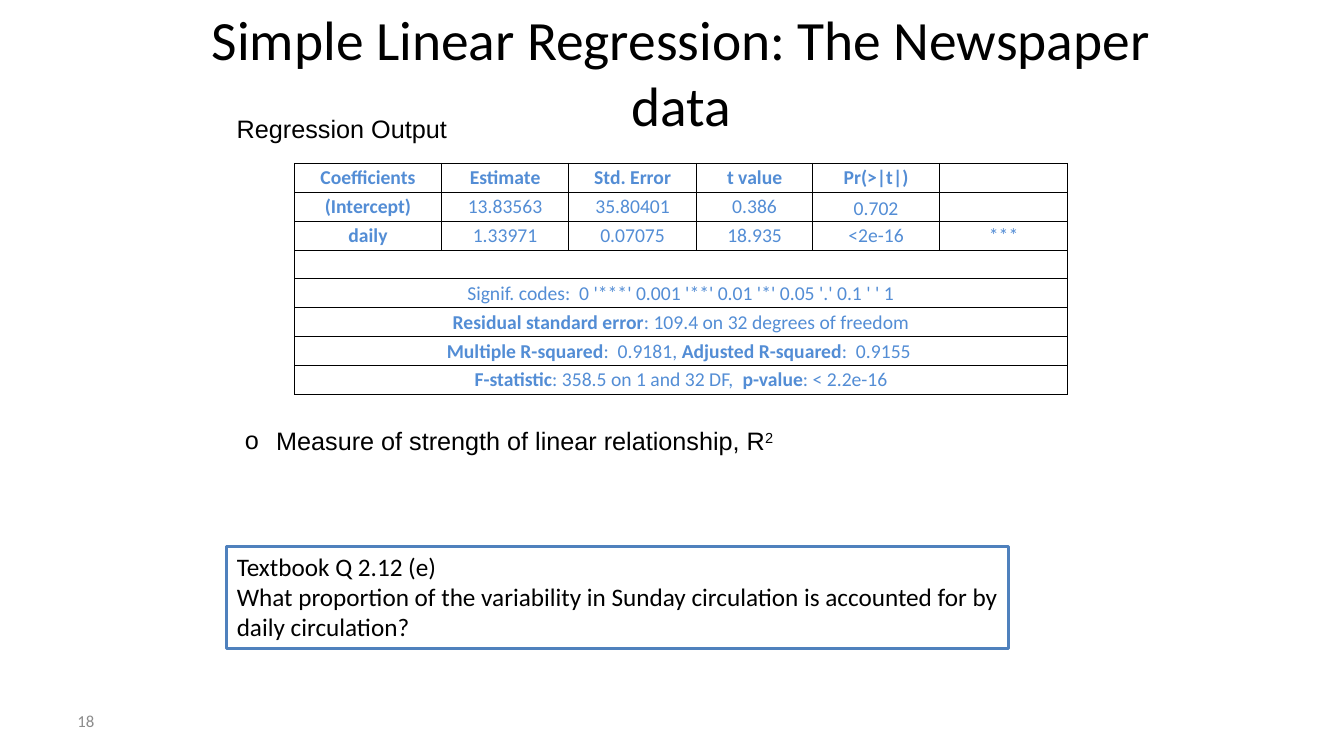
from lxml.etree import SubElement
from pptx import Presentation
from pptx.dml.color import RGBColor
from pptx.enum.shapes import MSO_SHAPE
from pptx.enum.text import MSO_ANCHOR as ANCHOR, MSO_AUTO_SIZE as AUTOSIZE, PP_ALIGN as ALIGN
from pptx.oxml.ns import qn
from pptx.util import Pt

PX = 9144  # 100 px to the inch
BLACK, BLUE = "000000", "538DD5"


def color(value):
    return RGBColor.from_string(value)


def add_span(para, text, size, face, ink=BLACK, bold=False):
    span = para.add_run()
    span.text = text
    span.font.size, span.font.name, span.font.bold = Pt(size), face, bold
    span.font.color.rgb = color(ink)
    return span


deck = Presentation()
deck.slide_width, deck.slide_height = 1333 * PX, 750 * PX
page = deck.slides.add_slide(deck.slide_layouts[1])

# Title and list placeholders, heading, question box and page number
title, bullets = page.shapes.title, page.placeholders[1]
heading = page.shapes.add_textbox(0, 0, PX, PX)
question = page.shapes.add_shape(MSO_SHAPE.RECTANGLE, 0, 0, PX, PX)
number = page.shapes.add_textbox(0, 0, PX, PX)
places = [
    (title, 192, 25, 967, 92, ANCHOR.MIDDLE),
    (bullets, 233, 417, 675, 40, ANCHOR.TOP),
    (heading, 225, 108, 367, 40, ANCHOR.TOP),
    (question, 225, 542, 775, 101, ANCHOR.TOP),
    (number, 67, 695, 311, 40, ANCHOR.MIDDLE),
]
for box, left, top, width, height, anchor in places:
    box.left, box.top, box.width, box.height = left * PX, top * PX, width * PX, height * PX
    frame = box.text_frame
    frame.word_wrap, frame.auto_size = True, AUTOSIZE.NONE
    frame.vertical_anchor = anchor

para = title.text_frame.paragraphs[0]
para.alignment = ALIGN.CENTER
add_span(para, "Simple Linear Regression: The Newspaper data", 39.6, "Calibri")
add_span(heading.text_frame.paragraphs[0], "Regression Output", 18, "Arial")
add_span(number.text_frame.paragraphs[0], "18", 12, "Calibri", "8C8C8C")

# Bullet
para = bullets.text_frame.paragraphs[0]
para.space_before = Pt(0)
props = para._p.get_or_add_pPr()
props.set("marL", str(31 * PX))
props.set("indent", str(-31 * PX))
SubElement(props, qn("a:buFont"), typeface="Arial")
SubElement(props, qn("a:buChar"), char="o")
add_span(para, "Measure of strength of linear relationship, R", 18, "Arial")
power = add_span(para, "2", 18, "Arial")
power._r.get_or_add_rPr().set("baseline", "30000")

# Textbook question
question.shadow.inherit = False
question.fill.solid()
question.fill.fore_color.rgb = color("FFFFFF")
question.line.color.rgb = color("4F81BD")
question.line.width = Pt(2)
frame = question.text_frame
lines = [
    "Textbook Q 2.12 (e)",
    "What proportion of the variability in Sunday circulation is accounted for by daily circulation?",
]
for index, line in enumerate(lines):
    para = frame.paragraphs[0] if index == 0 else frame.add_paragraph()
    para.alignment = ALIGN.LEFT
    add_span(para, line, 18, "Calibri")

# Regression table: each cell is a list of spans, bold where marked by True
coefficients = [
    ["Coefficients", "Estimate", "Std. Error", "t value", "Pr(>|t|)", ""],
    ["(Intercept)", "13.83563", "35.80401", "0.386", "0.702", ""],
    ["daily", "1.33971", "0.07075", "18.935", "<2e-16", "***"],
]
summary = [
    [],
    [("Signif. codes:  0 '***' 0.001 '**' 0.01 '*' 0.05 '.' 0.1 ' ' 1", False)],
    [("Residual standard error", True), (": 109.4 on 32 degrees of freedom", False)],
    [("Multiple R-squared", True), (":  0.9181, ", False),
     ("Adjusted R-squared", True), (":  0.9155 ", False)],
    [("F-statistic", True), (": 358.5 on 1 and 32 DF,  ", False),
     ("p-value", True), (": < 2.2e-16", False)],
]
rows = [
    [[(text, r == 0 or c == 0)] if text else [] for c, text in enumerate(row)]
    for r, row in enumerate(coefficients)
] + [[spans] + [[]] * 5 for spans in summary]

widths = [146, 126, 127, 115, 126, 127]
table = page.shapes.add_table(
    len(rows), len(widths), 292 * PX, 162 * PX, sum(widths) * PX, 229 * PX).table
table.first_row = table.horz_banding = False
for column, width in zip(table.columns, widths):
    column.width = width * PX
for r, row in enumerate(rows):
    table.rows[r].height = 229 * PX // len(rows)
    if r >= len(coefficients):
        table.cell(r, 0).merge(table.cell(r, len(widths) - 1))
    for c, spans in enumerate(row):
        cell = table.cell(r, c)
        cell.margin_left = cell.margin_right = cell.margin_top = PX
        cell.margin_bottom = 0
        cell.vertical_anchor = ANCHOR.BOTTOM if (r, c) == (1, 4) else ANCHOR.MIDDLE
        para = cell.text_frame.paragraphs[0]
        para.alignment = ALIGN.CENTER
        for text, bold in spans:
            add_span(para, text, 14, "Calibri", BLUE, bold)
        if not spans:
            SubElement(para._p, qn("a:endParaRPr"), sz="1400")
        # Borders come before the fill in the cell properties
        props = cell._tc.get_or_add_tcPr()
        for side in ("a:lnL", "a:lnR", "a:lnT", "a:lnB"):
            border = SubElement(props, qn(side), w=str(Pt(0.5)))
            fill = SubElement(border, qn("a:solidFill"))
            SubElement(fill, qn("a:srgbClr"), val=BLACK)
        cell.fill.background()

deck.save("out.pptx")
